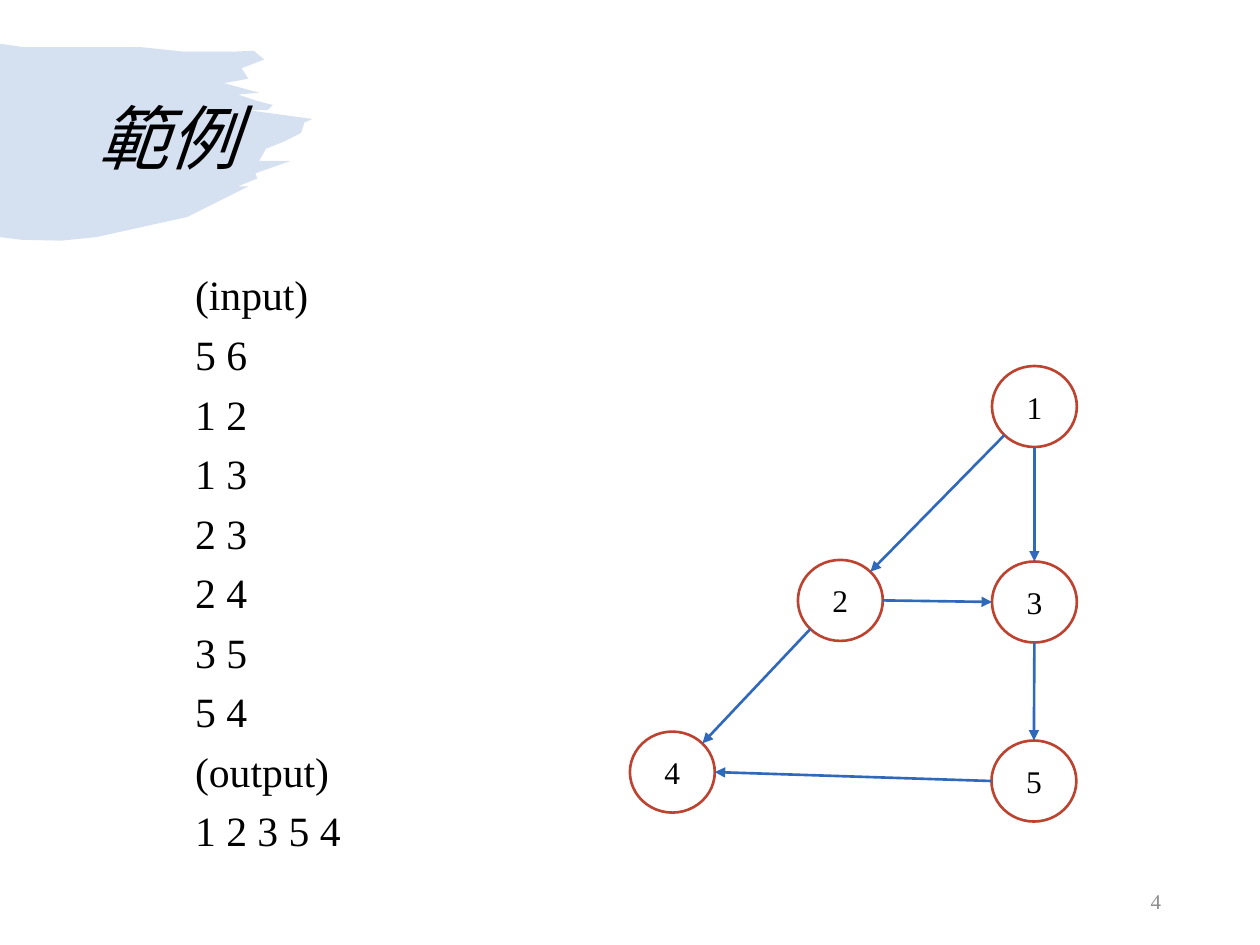
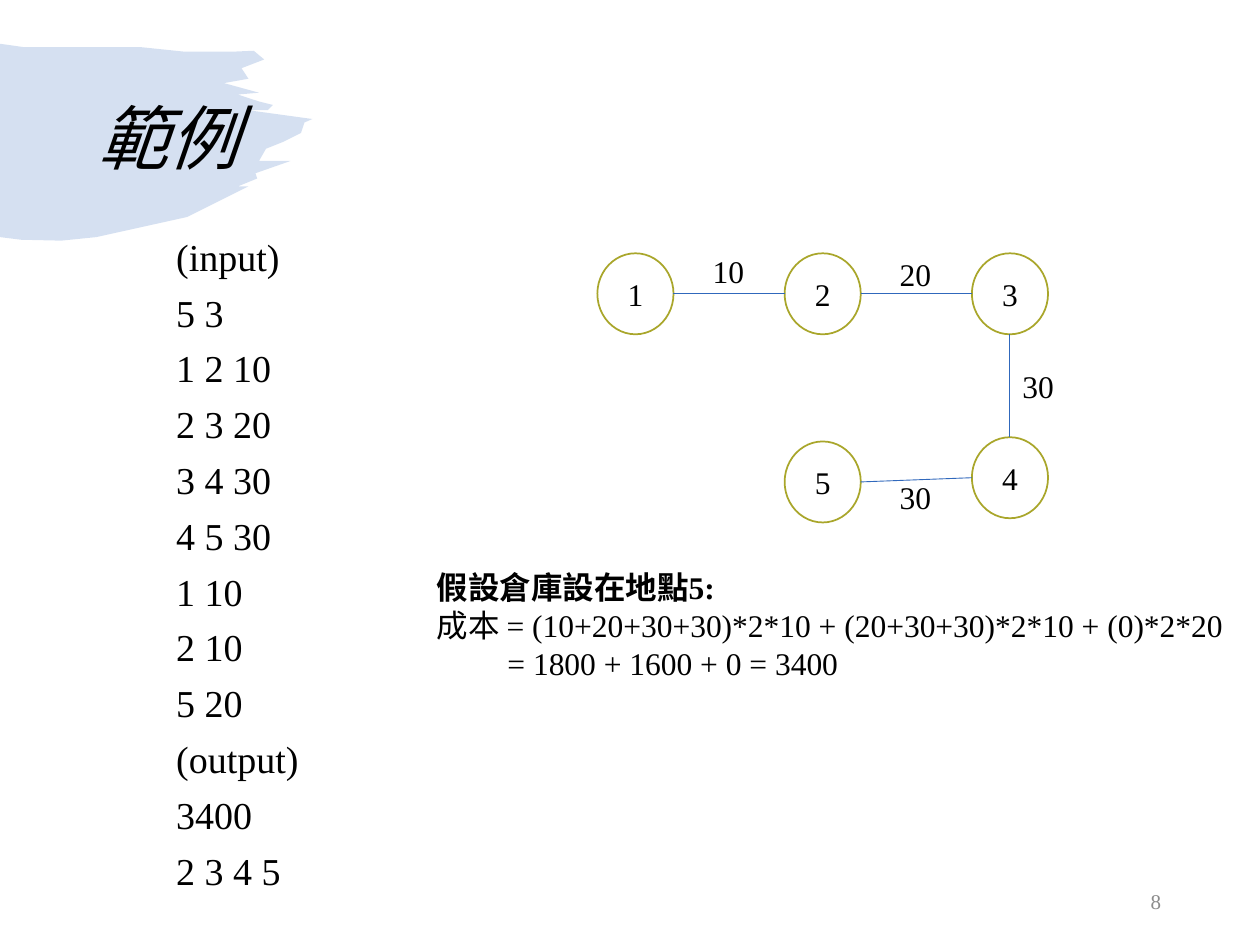
from dataclasses import dataclass

import pptx
import pptx.dml.color
import pptx.enum.shapes
import pptx.enum.text
import pptx.oxml.ns
import pptx.util
from lxml import etree

Pt = pptx.util.Pt
RGBColor = pptx.dml.color.RGBColor
MSO_SHAPE = pptx.enum.shapes.MSO_SHAPE
PP_ALIGN = pptx.enum.text.PP_ALIGN
MSO_ANCHOR = pptx.enum.text.MSO_ANCHOR
qn = pptx.oxml.ns.qn

# Shared colours and fonts
BLUE = RGBColor(0x30, 0x68, 0xBC)
RED = RGBColor(0xBC, 0x43, 0x30)
OLIVE = RGBColor(0xA9, 0xA6, 0x2B)
GRAY = RGBColor(0x8C, 0x8C, 0x8C)
BLACK = RGBColor(0, 0, 0)
WHITE = RGBColor(255, 255, 255)
SERIF = "Times New Roman"
SANS = "Arial"

# Corners of the brush stroke, in points
BRUSH = [
    (0, 25), (14, 27), (55, 27), (81, 27), (105, 29.5), (134, 29.5), (145, 29), (151, 34),
    (138, 39), (142, 45), (128, 47.5), (148, 53), (136, 54), (148, 58), (156, 60),
    (153, 63), (142, 63), (178.5, 68), (174, 70), (172, 76), (162, 81), (152, 85),
    (148, 92), (166, 92), (146, 99), (147, 102), (136, 106.5), (142, 106.5),
    (107, 124), (55, 135.5), (35, 137.5), (12, 137), (0, 135.5),
]

# Points of a node's outline where edges attach, as fractions of its radii
DIAG = 0.71
SIDES = {
    "top": (0, -1), "bottom": (0, 1), "left": (-1, 0), "right": (1, 0),
    "top right": (DIAG, -DIAG), "bottom left": (-DIAG, DIAG),
}


@dataclass(frozen=True)
class Edge:
    start: int
    start_side: str
    end: int
    end_side: str


@dataclass(frozen=True)
class Graph:
    centres: dict[int, tuple[float, float]]
    edges: list[Edge]
    width: float
    height: float
    outline: RGBColor
    outline_pt: float
    edge_pt: float
    directed: bool

    def anchor(self, node: int, side: str) -> tuple[float, float]:
        (x, y), (dx, dy) = self.centres[node], SIDES[side]
        return x + dx * self.width / 2, y + dy * self.height / 2


def fill_text(sp, lines: list[str], *, size: float = 18, font: str = SERIF,
              color: RGBColor = BLACK, italic: bool = False, bold_first: bool = False,
              align=PP_ALIGN.LEFT, anchor=MSO_ANCHOR.TOP, spacing: float = 1,
              before: float = 0, last_indent: float = 0) -> None:
    tf = sp.text_frame
    tf.word_wrap = True
    tf.vertical_anchor = anchor
    for i, line in enumerate(lines):
        p = tf.paragraphs[0] if i == 0 else tf.add_paragraph()
        p.alignment, p.line_spacing, p.space_before = align, spacing, Pt(before)
        r = p.add_run()
        r.text = line
        r.font.size, r.font.name, r.font.italic = Pt(size), font, italic
        r.font.bold = bold_first and i == 0
        r.font.color.rgb = color
    if last_indent:
        p._p.get_or_add_pPr().set("marL", str(Pt(last_indent)))


def add_text(s, x: float, y: float, w: float, h: float, lines: list[str], **fmt) -> None:
    fill_text(s.shapes.add_textbox(Pt(x), Pt(y), Pt(w), Pt(h)), lines, **fmt)


def add_brush(s) -> None:
    corners = [(Pt(x), Pt(y)) for x, y in BRUSH]
    fb = s.shapes.build_freeform(*corners[0])
    fb.add_line_segments(corners[1:], close=True)
    sp = fb.convert_to_shape()
    sp.shadow.inherit = False
    sp.fill.solid()
    sp.fill.fore_color.rgb = BLUE
    sp.line.fill.background()
    color = sp._element.spPr.find(qn("a:solidFill"))[0]
    etree.SubElement(color, qn("a:alpha")).set("val", "20000")


def add_graph(s, graph: Graph) -> None:
    for number, (x, y) in graph.centres.items():
        sp = s.shapes.add_shape(
            MSO_SHAPE.OVAL, Pt(x - graph.width / 2), Pt(y - graph.height / 2),
            Pt(graph.width), Pt(graph.height))
        sp.shadow.inherit = False
        sp.fill.solid()
        sp.fill.fore_color.rgb = WHITE
        sp.line.color.rgb = graph.outline
        sp.line.width = Pt(graph.outline_pt)
        fill_text(sp, [str(number)], align=PP_ALIGN.CENTER, anchor=MSO_ANCHOR.MIDDLE)
    for edge in graph.edges:
        x1, y1 = graph.anchor(edge.start, edge.start_side)
        x2, y2 = graph.anchor(edge.end, edge.end_side)
        cx = s.shapes.add_connector(
            pptx.enum.shapes.MSO_CONNECTOR.STRAIGHT, Pt(x1), Pt(y1), Pt(x2), Pt(y2))
        cx.line.color.rgb = BLUE
        cx.line.width = Pt(graph.edge_pt)
        if graph.directed:
            ln = cx._element.spPr.find(qn("a:ln"))
            etree.SubElement(ln, qn("a:tailEnd")).set("type", "triangle")
        etree.SubElement(cx._element.spPr, qn("a:effectLst"))


def add_example_slide(prs, number: int):
    """Blank slide with the brush, the title and the slide number."""
    s = prs.slides.add_slide(prs.slide_layouts[6])
    add_brush(s)
    add_text(s, 49.5, 28.75, 621, 104.4, ["範例"], size=40, font=SANS, italic=True,
             anchor=MSO_ANCHOR.MIDDLE, spacing=0.9)
    add_text(s, 508.5, 500.5, 162, 28.75, [str(number)], size=12, color=GRAY,
             align=PP_ALIGN.RIGHT, anchor=MSO_ANCHOR.MIDDLE)
    return s


prs = pptx.Presentation()
prs.slide_width, prs.slide_height = Pt(720), Pt(540)
LISTING = dict(spacing=0.84, before=10)

# Slide 1: directed graph and its visiting order
s = add_example_slide(prs, 4)
add_text(s, 104.4, 155, 135.4, 345.6,
         ["(input)", "5 6", "1 2", "1 3", "2 3", "2 4", "3 5", "5 4",
          "(output)", "1 2 3 5 4"], size=23.8, **LISTING)
add_graph(s, Graph(
    centres={1: (591.1, 232.3), 2: (480.2, 343.1), 3: (591.1, 344),
             4: (384.2, 441.2), 5: (590.8, 446.3)},
    edges=[Edge(1, "bottom left", 2, "top right"), Edge(2, "right", 3, "left"),
           Edge(5, "left", 4, "right"), Edge(1, "bottom", 3, "top"),
           Edge(3, "bottom", 5, "top"), Edge(2, "bottom left", 4, "top right")],
    width=48.5, height=46.3, outline=RED, outline_pt=1.5, edge_pt=1.5, directed=True))

# Slide 2: weighted path and the cost of a warehouse
s = add_example_slide(prs, 8)
add_text(s, 93.6, 134, 204.5, 391.7,
         ["(input)", "5 3", "1 2 10", "2 3 20", "3 4 30", "4 5 30", "1 10", "2 10",
          "5 20", "(output)", "3400", "2 3 4 5"], size=21.7, **LISTING)
LEFT, STEP, ROW = 363.1, 107, 167.9
col = [LEFT + i * STEP for i in range(3)]
add_graph(s, Graph(
    centres={1: (col[0], ROW), 2: (col[1], ROW), 3: (col[2], ROW),
             4: (col[2], 273), 5: (col[1], 275.4)},
    edges=[Edge(1, "right", 2, "left"), Edge(2, "right", 3, "left"),
           Edge(3, "bottom", 4, "top"), Edge(5, "right", 4, "left")],
    width=43.5, height=46.3, outline=OLIVE, outline_pt=1, edge_pt=0.5, directed=False))
for x, y, weight in [(400.2, 140.4, "10"), (507, 142, "20"),
                     (577.2, 206, "30"), (507, 269.5, "30")]:
    add_text(s, x, y, 43.2, 28.8, [weight])
add_text(s, 242.4, 321.2, 468, 72.7,
         ["假設倉庫設在地點5:",
          "成本 = (10+20+30+30)*2*10 + (20+30+30)*2*10 + (0)*2*20",
          "= 1800 + 1600 + 0 = 3400"], bold_first=True, last_indent=40.5)

prs.save("out.pptx")
